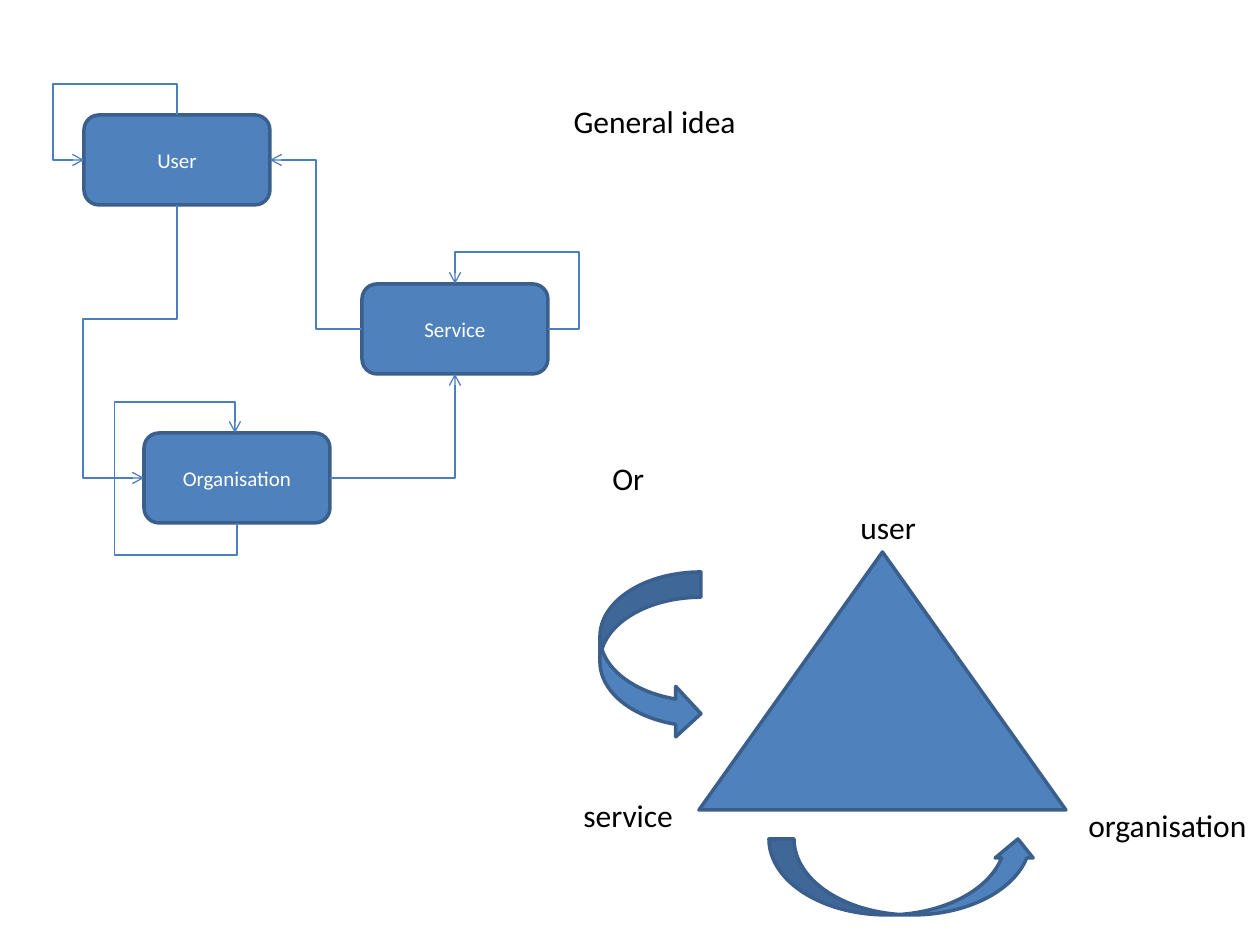
from lxml.etree import SubElement
from pptx import Presentation
from pptx.dml.color import RGBColor
from pptx.enum.shapes import MSO_CONNECTOR as LINK, MSO_SHAPE as SHAPE
from pptx.enum.text import MSO_ANCHOR as ANCHOR, MSO_AUTO_SIZE as FIT, PP_ALIGN as ALIGN
from pptx.oxml.ns import qn
from pptx.util import Emu, Pt

SCALE = 914400 // 126
COLORS = {"fill": "4F81BD", "edge": "3A5F8C", "link": "4B7EBC",
          "label": "000000", "node": "FFFFFF"}
NODE_SIZE = (186, 90)
TOP, LEFT, BOTTOM, RIGHT = range(4)


def px(value):
    return Emu(round(value * SCALE))


def apply(target, formats):
    for name, value in formats.items():
        setattr(target, name, value)


class Diagram:
    FONT = "Calibri"
    LABEL = {"word_wrap": False, "auto_size": FIT.SHAPE_TO_FIT_TEXT,
             "vertical_anchor": ANCHOR.TOP}
    INSETS = {"margin_left": Emu(91440), "margin_right": Emu(91440),
              "margin_top": Emu(45720), "margin_bottom": Emu(45720)}

    def __init__(self, slide):
        self.slide = slide

    def wording(self, frame, text, size, color, align):
        paragraph = frame.paragraphs[0]
        paragraph.alignment = align
        run = paragraph.add_run()
        run.text = text
        apply(run.font, {"name": self.FONT, "size": Pt(size)})
        run.font.color.rgb = RGBColor.from_string(COLORS[color])

    def label(self, holder, text):
        apply(holder.text_frame, {**self.LABEL, **self.INSETS})
        self.wording(holder.text_frame, text, 18, "label", ALIGN.LEFT)

    def title(self, text, *box):
        heading = self.slide.shapes.title
        apply(heading, dict(zip(("left", "top", "width", "height"), map(px, box))))
        self.label(heading, text)

    def caption(self, text, *box):
        self.label(self.slide.shapes.add_textbox(*map(px, box)), text)

    def figure(self, kind, box, adjustments=()):
        figure = self.slide.shapes.add_shape(kind, *map(px, box))
        figure.shadow.inherit = False
        figure.fill.solid()
        figure.fill.fore_color.rgb = RGBColor.from_string(COLORS["fill"])
        figure.line.color.rgb = RGBColor.from_string(COLORS["edge"])
        figure.line.width = Pt(2)
        for index, value in enumerate(adjustments):
            figure.adjustments[index] = value
        return figure

    def node(self, text, left, top):
        node = self.figure(SHAPE.ROUNDED_RECTANGLE, (left, top, *NODE_SIZE))
        node.text_frame.vertical_anchor = ANCHOR.MIDDLE
        self.wording(node.text_frame, text, 12, "node", ALIGN.CENTER)
        return node

    def site(self, node, side):
        across, down = ((0.5, 0), (0, 0.5), (0.5, 1), (1, 0.5))[side]
        return [node.left + node.width * across, node.top + node.height * down]

    def link(self, source, exit_side, target, entry_side, lanes=()):
        start, end = self.site(source, exit_side), self.site(target, entry_side)
        if start[0] == end[0]:
            end[0] -= px(2)
        connector = self.slide.shapes.add_connector(
            LINK.ELBOW, *map(round, start + end))
        connector.begin_connect(source, exit_side)
        connector.end_connect(target, entry_side)
        connector.line.color.rgb = RGBColor.from_string(COLORS["link"])
        connector.line.width = Pt(0.75)

        vertical = exit_side in (TOP, BOTTOM)
        run, rise = end[0] - start[0], end[1] - start[1]
        width, height = (abs(rise), abs(run)) if vertical else (abs(run), abs(rise))
        apply(connector, {"left": Emu(round((start[0] + end[0] - width) / 2)),
                          "top": Emu(round((start[1] + end[1] - height) / 2)),
                          "width": Emu(round(width)), "height": Emu(round(height))})
        properties = connector._element.spPr
        frame = properties.find(qn("a:xfrm"))
        flips = (rise < 0, run > 0) if vertical else (run < 0, rise < 0)
        frame.set("rot", "5400000" if vertical else "0")
        for name, flipped in zip(("flipH", "flipV"), flips):
            frame.set(name, str(int(flipped)))

        geometry = properties.find(qn("a:prstGeom"))
        geometry.set("prst", f"bentConnector{len(lanes) + 2}")
        for child in list(geometry):
            geometry.remove(child)
        guides = SubElement(geometry, qn("a:avLst"))
        for index, lane in enumerate(lanes):
            axis = (index + vertical) % 2
            share = (px(lane) - start[axis]) / (end[axis] - start[axis])
            SubElement(guides, qn("a:gd"), name=f"adj{index + 1}",
                       fmla=f"val {round(share * 100000)}")
        SubElement(properties.find(qn("a:ln")), qn("a:tailEnd"), type="arrow")
        SubElement(properties, qn("a:effectLst"))


deck = Presentation()
apply(deck, {"slide_width": px(1260), "slide_height": px(945)})
diagram = Diagram(deck.slides.add_slide(deck.slide_layouts[5]))
diagram.title("General idea", 561, 96, 189, 50)

organisation = diagram.node("Organisation", 144, 433)
service = diagram.node("Service", 362, 284)
user = diagram.node("User", 84, 115)

for route in (
    (user, BOTTOM, organisation, LEFT, (319, 83)),
    (organisation, RIGHT, service, BOTTOM),
    (service, LEFT, user, RIGHT, (316,)),
    (user, TOP, user, LEFT, (84, 53)),
    (organisation, BOTTOM, organisation, TOP, (555, 114, 402)),
    (service, RIGHT, service, TOP, (579, 252)),
):
    diagram.link(*route)

diagram.figure(SHAPE.ISOSCELES_TRIANGLE, (699, 552, 367, 258))
diagram.figure(SHAPE.CURVED_RIGHT_ARROW, (600, 572, 101, 167))
diagram.figure(SHAPE.CURVED_UP_ARROW, (769, 839, 268, 76), (0.33, 0.5, 0.25))

for caption in (
    ("Or", 600, 453, 58, 50),
    ("user", 848, 502, 82, 50),
    ("service", 571, 790, 116, 50),
    ("organisation", 1076, 800, 185, 50),
):
    diagram.caption(*caption)

deck.save("out.pptx")
